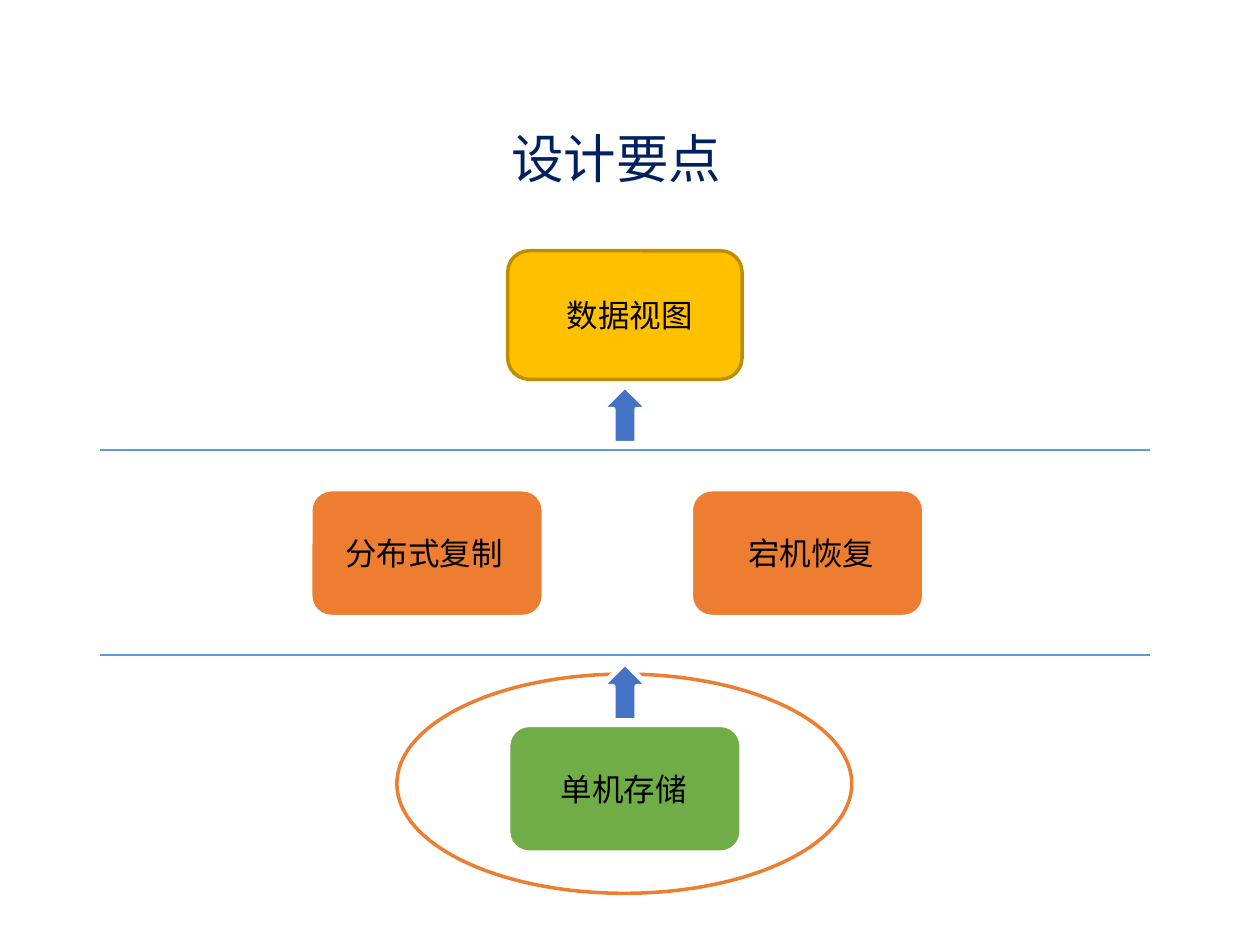
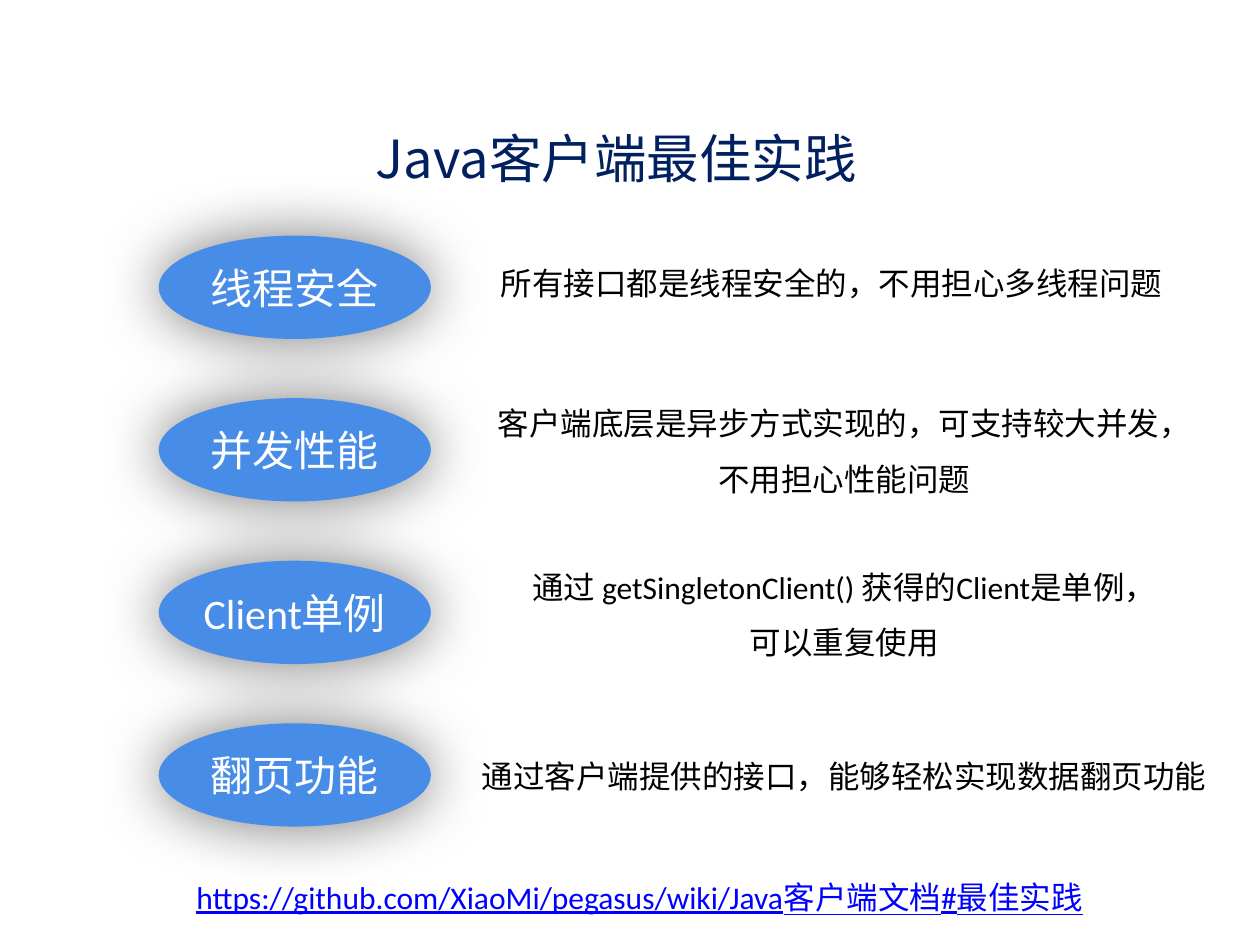
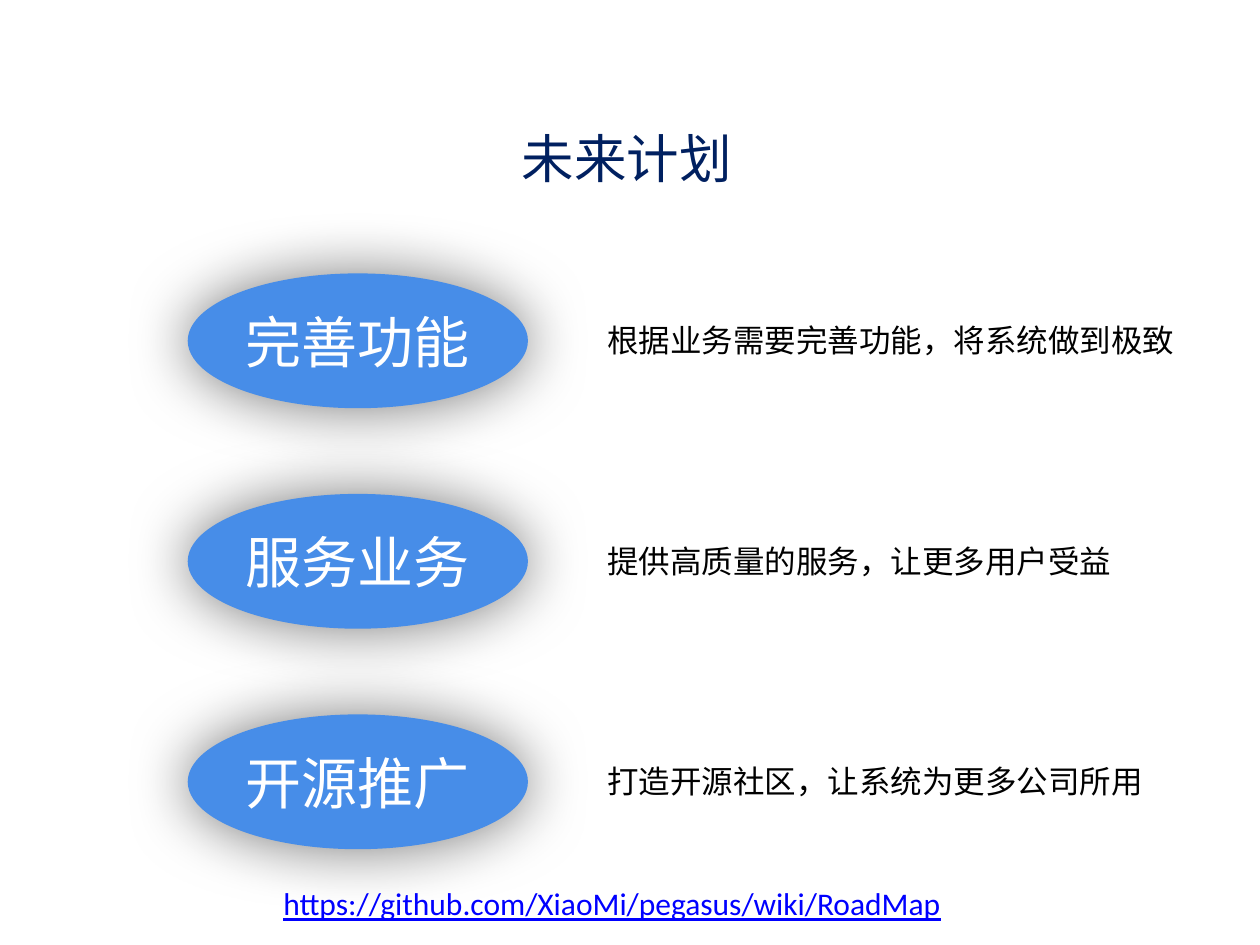
"""Build three slides on storage design, Java client practice and future plans."""
from lxml import etree
from pptx import Presentation
from pptx.dml.color import RGBColor
from pptx.enum.shapes import MSO_CONNECTOR, MSO_SHAPE
from pptx.enum.text import MSO_ANCHOR, MSO_AUTO_SIZE, PP_ALIGN
from pptx.oxml.ns import qn
from pptx.util import Inches, Pt

LEFT, CENTER = PP_ALIGN.LEFT, PP_ALIGN.CENTER
TOP, MIDDLE = MSO_ANCHOR.TOP, MSO_ANCHOR.MIDDLE
NO_FIT = MSO_AUTO_SIZE.NONE
OVAL, ROUNDED, UP_ARROW = MSO_SHAPE.OVAL, MSO_SHAPE.ROUNDED_RECTANGLE, MSO_SHAPE.UP_ARROW
STRAIGHT = MSO_CONNECTOR.STRAIGHT
TITLE_ONLY = 5

BODY_FONT, CJK_FONT = "Calibri", "Noto Sans CJK SC"
NAVY, BLACK, WHITE, LINK_BLUE = "002060", "000000", "FFFFFF", "0000FF"
TOPIC_BLUE, ARROW_BLUE, LINE_BLUE = "478DE8", "4472C4", "5B9BD5"
ORANGE, GREEN, GOLD, DARK_GOLD = "ED7D31", "70AD47", "FFC000", "BD8E00"

BLOCK_WIDTH, BLOCK_HEIGHT = 1.86, 1.02


def color(hex_string):
    """Turn a hex string into a colour."""
    return RGBColor.from_string(hex_string)


def place(shape, left, top, width, height):
    """Set the position and size of a shape in inches."""
    shape.left, shape.top = Inches(left), Inches(top)
    shape.width, shape.height = Inches(width), Inches(height)


def write(shape, text, size, hex_string, align=LEFT, anchor=TOP, inset=0.05,
          font_name=BODY_FONT, space_between=0, underline=None):
    """Fill a shape with text in one style."""
    frame = shape.text_frame
    frame.text = text
    frame.word_wrap = True
    frame.auto_size = NO_FIT
    frame.vertical_anchor = anchor
    frame.margin_left = frame.margin_right = Inches(inset)
    frame.margin_top = frame.margin_bottom = Inches(min(inset, 0.05))
    for index, paragraph in enumerate(frame.paragraphs):
        paragraph.alignment = align
        paragraph.space_before = Pt(space_between if index else 0)
        for run in paragraph.runs:
            run.font.name = font_name
            run.font.size = Pt(size)
            run.font.underline = underline
            run.font.color.rgb = color(hex_string)
            east_asian = etree.SubElement(run.font._element, qn("a:ea"))
            east_asian.set("typeface", CJK_FONT)


def add_titled_slide(presentation, title, left=0.74, width=8.3):
    """Add a slide with the shared title style."""
    slide = presentation.slides.add_slide(presentation.slide_layouts[TITLE_ONLY])
    place(slide.shapes.title, left, 0.95, width, 0.61)
    write(slide.shapes.title, title, 30, NAVY, CENTER, font_name=CJK_FONT)
    return slide


def add_text(slide, text, left, top, width, height, size=18, hex_string=BLACK, **style):
    """Add a text box."""
    box = slide.shapes.add_textbox(Inches(left), Inches(top), Inches(width), Inches(height))
    write(box, text, size, hex_string, **style)


def add_figure(slide, kind, left, top, width, height, fill, outline=None, weight=3):
    """Add a filled preset shape with an optional outline."""
    shape = slide.shapes.add_shape(kind, Inches(left), Inches(top), Inches(width), Inches(height))
    shape.shadow.inherit = False
    shape.fill.solid()
    shape.fill.fore_color.rgb = color(fill)
    if outline:
        shape.line.color.rgb = color(outline)
        shape.line.width = Pt(weight)
    else:
        shape.line.fill.background()
    return shape


def add_block(slide, text, left, top, text_offset, text_width, fill, outline=WHITE, weight=3):
    """Add a rounded block and its label."""
    add_figure(slide, ROUNDED, left, top, BLOCK_WIDTH, BLOCK_HEIGHT, fill, outline, weight)
    add_text(slide, text, left + text_offset, top + 0.31, text_width, 0.4)


def add_divider(slide, top):
    """Add a horizontal line between two layers."""
    line = slide.shapes.add_connector(STRAIGHT, Inches(0.79), Inches(top), Inches(9.13), Inches(top))
    line.line.color.rgb = color(LINE_BLUE)
    line.line.width = Pt(1)
    etree.SubElement(line._element.spPr, qn("a:effectLst"))


def add_glow(shape):
    """Give a shape a soft shadow on all sides."""
    effects = shape._element.spPr.find(qn("a:effectLst"))
    shadow = etree.SubElement(effects, qn("a:outerShdw"), blurRad=str(Pt(36)), dist="0",
                              dir="0", algn="ctr", rotWithShape="0")
    shade = etree.SubElement(shadow, qn("a:srgbClr"), val=BLACK)
    etree.SubElement(shade, qn("a:alpha"), val="52000")


def add_topic(slide, text, left, top, width, height, size):
    """Add a glowing ellipse that names a topic."""
    topic = add_figure(slide, OVAL, left, top, width, height, TOPIC_BLUE)
    add_glow(topic)
    write(topic, text, size, WHITE, CENTER, MIDDLE, inset=0)


def add_link_line(slide, address, left, top, width):
    """Add a web address at the foot of the slide."""
    add_text(slide, address, left, top, width, 0.4, hex_string=LINK_BLUE, inset=0.1, underline=True)


def build_design(presentation):
    """Build the slide on the design layers."""
    slide = add_titled_slide(presentation, "设计要点")
    add_figure(slide, OVAL, 3.15, 5.35, 3.61, 1.74, WHITE, ORANGE, 2)
    add_block(slide, "分布式复制", 2.46, 3.88, 0.23, 1.4, ORANGE)
    add_block(slide, "宕机恢复", 5.48, 3.88, 0.41, 1.4, ORANGE)
    add_block(slide, "单机存储", 4.03, 5.75, 0.37, 1.26, GREEN)
    add_block(slide, "数据视图", 4.03, 1.99, 0.42, 1.4, GOLD, DARK_GOLD, 2)
    for top in (3.57, 5.2):
        add_divider(slide, top)
    for top in (3.06, 5.26):
        add_figure(slide, UP_ARROW, 4.77, top, 0.38, 0.46, ARROW_BLUE, WHITE)


def build_practice(presentation):
    """Build the slide on Java client practice."""
    slide = add_titled_slide(presentation, "Java客户端最佳实践")
    practices = [
        ("线程安全", "所有接口都是线程安全的，不用担心多线程问题", 2.05, 5.74, 0.46),
        ("并发性能", "客户端底层是异步方式实现的，可支持较大并发，\n不用担心性能问题", 3.16, 5.94, 0.84),
        ("Client单例", "通过 getSingletonClient() 获得的Client是单例，\n可以重复使用", 4.46, 5.94, 0.84),
        ("翻页功能", "通过客户端提供的接口，能够轻松实现数据翻页功能", 5.96, 5.94, 0.48),
    ]
    for index, (topic, detail, top, width, height) in enumerate(practices):
        add_topic(slide, topic, 1.26, 1.87 + 1.29 * index, 2.16, 0.82, 24)
        add_text(slide, detail, 3.73, top, width, height, align=CENTER, space_between=10)
    add_link_line(slide, "https://github.com/XiaoMi/pegasus/wiki/Java客户端文档#最佳实践", 1.46, 6.92, 7.58)


def build_plans(presentation):
    """Build the slide on future plans."""
    slide = add_titled_slide(presentation, "未来计划", 0.58, 8.79)
    plans = [
        ("完善功能", "根据业务需要完善功能，将系统做到极致", 4.68),
        ("服务业务", "提供高质量的服务，让更多用户受益", 4.6),
        ("开源推广", "打造开源社区，让系统为更多公司所用", 4.96),
    ]
    for index, (topic, detail, width) in enumerate(plans):
        top = 2.17 + 1.75 * index
        add_topic(slide, topic, 1.49, top, 2.7, 1.07, 32)
        add_text(slide, detail, 4.77, top + 0.33, width, 0.4)
    add_link_line(slide, "https://github.com/XiaoMi/pegasus/wiki/RoadMap", 2.15, 6.97, 5.88)


def main():
    """Build and save the presentation."""
    presentation = Presentation()
    presentation.slide_width, presentation.slide_height = Inches(10), Inches(7.5)
    build_design(presentation)
    build_practice(presentation)
    build_plans(presentation)
    presentation.save("out.pptx")


if __name__ == "__main__":
    main()
